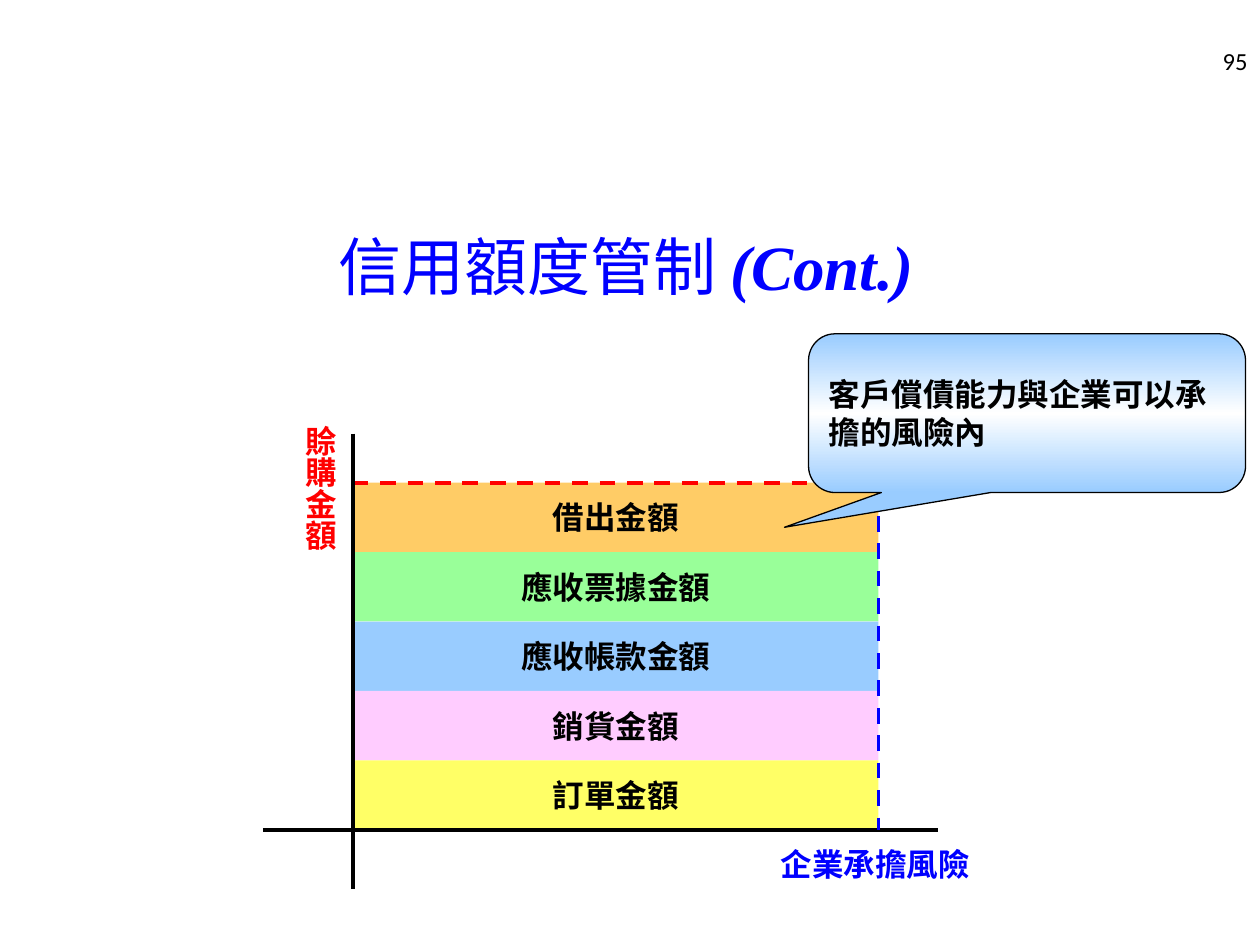
from copy import deepcopy
from dataclasses import dataclass

from lxml import etree
from pptx import Presentation
from pptx.dml.color import RGBColor
from pptx.enum.dml import MSO_LINE
from pptx.enum.shapes import MSO_CONNECTOR, MSO_SHAPE
from pptx.enum.text import MSO_ANCHOR, PP_ALIGN
from pptx.oxml.ns import qn
from pptx.util import Cm, Pt

DASH = MSO_LINE.DASH
STRAIGHT = MSO_CONNECTOR.STRAIGHT
RECTANGLE = MSO_SHAPE.RECTANGLE
CALLOUT = MSO_SHAPE.ROUNDED_RECTANGULAR_CALLOUT
TOP, MIDDLE = MSO_ANCHOR.TOP, MSO_ANCHOR.MIDDLE
LEFT, CENTER, RIGHT = PP_ALIGN.LEFT, PP_ALIGN.CENTER, PP_ALIGN.RIGHT


@dataclass(frozen=True)
class Theme:
    black: str = "000000"
    white: str = "FFFFFF"
    blue: str = "0000FF"
    red: str = "FF0000"
    sky: str = "99CCFF"
    serif: str = "Times New Roman"
    sans: str = "Calibri"
    title_size: float = 36
    body_size: float = 18
    number_size: float = 14
    axis_width: float = 2.25
    outline_width: float = 0.75


THEME = Theme()

TITLE = ("信用額度管制 ", "(Cont.)")
PAGE_NUMBER = "95"
RISK_LABEL = "企業承擔風險"
AMOUNT_LABEL = "賒購金額"
CALLOUT_TEXT = "客戶償債能力與企業可以承擔的風險內"
BANDS = [
    ("借出金額", "FFCC66"),
    ("應收票據金額", "99FF99"),
    ("應收帳款金額", THEME.sky),
    ("銷貨金額", "FFCCFF"),
    ("訂單金額", "FFFF66"),
]

STACK_LEFT, STACK_TOP = 7.11, 9.73
BAND_WIDTH, BAND_HEIGHT = 10.6, 1.4
STACK_RIGHT = STACK_LEFT + BAND_WIDTH
STACK_BOTTOM = STACK_TOP + len(BANDS) * BAND_HEIGHT
AXIS_TOP = 8.74
LINES = [
    ((5.3, STACK_BOTTOM), (18.9, STACK_BOTTOM), THEME.black, None),
    ((STACK_LEFT, STACK_TOP), (18.49, STACK_TOP), THEME.red, DASH),
    ((STACK_LEFT, AXIS_TOP), (STACK_LEFT, 17.93), THEME.black, None),
    ((STACK_RIGHT, AXIS_TOP), (STACK_RIGHT, STACK_BOTTOM), THEME.blue, DASH),
]


def color(value):
    return RGBColor.from_string(value)


def write(shape, runs, size=THEME.body_size, ink=THEME.black, name=THEME.serif,
          bold=True, align=LEFT, anchor=MIDDLE, wrap=True):
    frame = shape.text_frame
    frame.word_wrap = wrap
    frame.vertical_anchor = anchor
    paragraph = frame.paragraphs[0]
    paragraph.alignment = align
    font = paragraph.font
    font.name, font.size, font.bold = name, Pt(size), bold
    font.color.rgb = color(ink)
    for text in runs:
        paragraph.add_run().text = text
    return paragraph


def add_text(slide, box, runs, **style):
    shape = slide.shapes.add_textbox(*map(Cm, box))
    return shape, write(shape, runs, **style)


def add_shape(slide, kind, box):
    shape = slide.shapes.add_shape(kind, *map(Cm, box))
    shape.shadow.inherit = False
    return shape


def add_band(slide, index, text, fill):
    top = STACK_TOP + index * BAND_HEIGHT
    band = add_shape(slide, RECTANGLE, (STACK_LEFT, top, BAND_WIDTH, BAND_HEIGHT))
    band.fill.solid()
    band.fill.fore_color.rgb = color(fill)
    band.line.fill.background()
    write(band, [text], align=CENTER, wrap=False)


def add_line(slide, start, end, ink, dash):
    connector = slide.shapes.add_connector(STRAIGHT, *map(Cm, start + end))
    connector.line.color.rgb = color(ink)
    connector.line.width = Pt(THEME.axis_width)
    if dash:
        connector.line.dash_style = dash
    etree.SubElement(connector._element.spPr, qn("a:effectLst"))


def add_callout(slide):
    callout = add_shape(slide, CALLOUT, (16.3, 6.73, 8.81, 3.2))
    for index, value in enumerate((-0.555, 0.719, 0.167)):
        callout.adjustments[index] = value
    callout.fill.gradient()
    callout.fill.gradient_angle = 90
    for stop in callout.fill.gradient_stops:
        stop.color.rgb = color(THEME.sky)
    stop_list = callout._element.spPr.find(".//" + qn("a:gsLst"))
    stop_list.insert(1, deepcopy(stop_list[0]))
    middle = callout.fill.gradient_stops[1]
    middle.position = 0.5
    middle.color.rgb = color(THEME.white)
    callout.line.color.rgb = color(THEME.black)
    callout.line.width = Pt(THEME.outline_width)
    write(callout, [CALLOUT_TEXT])


def main():
    presentation = Presentation()
    presentation.slide_width, presentation.slide_height = Cm(25.4), Cm(19.05)
    slide = presentation.slides.add_slide(presentation.slide_layouts[6])

    add_text(slide, (19.48, 0.71, 5.92, 1.02), [PAGE_NUMBER], size=THEME.number_size,
             name=THEME.sans, bold=False, align=RIGHT)
    _, title = add_text(slide, (1.19, 3.76, 22.86, 3.18), TITLE, size=THEME.title_size,
                        ink=THEME.blue, bold=False, align=CENTER)
    suffix = title.runs[1].font
    suffix.bold = suffix.italic = True
    add_text(slide, (15.49, 16.92, 5.41, 1.02), [RISK_LABEL], ink=THEME.blue, anchor=TOP)
    amount, _ = add_text(slide, (5.69, 8.33, 1.27, 5.59), [AMOUNT_LABEL],
                         ink=THEME.red, anchor=TOP)
    amount.text_frame._txBody.bodyPr.set("vert", "eaVert")

    for index, (text, fill) in enumerate(BANDS):
        add_band(slide, index, text, fill)
    for line in LINES:
        add_line(slide, *line)
    add_callout(slide)
    presentation.save("out.pptx")


if __name__ == "__main__":
    main()
